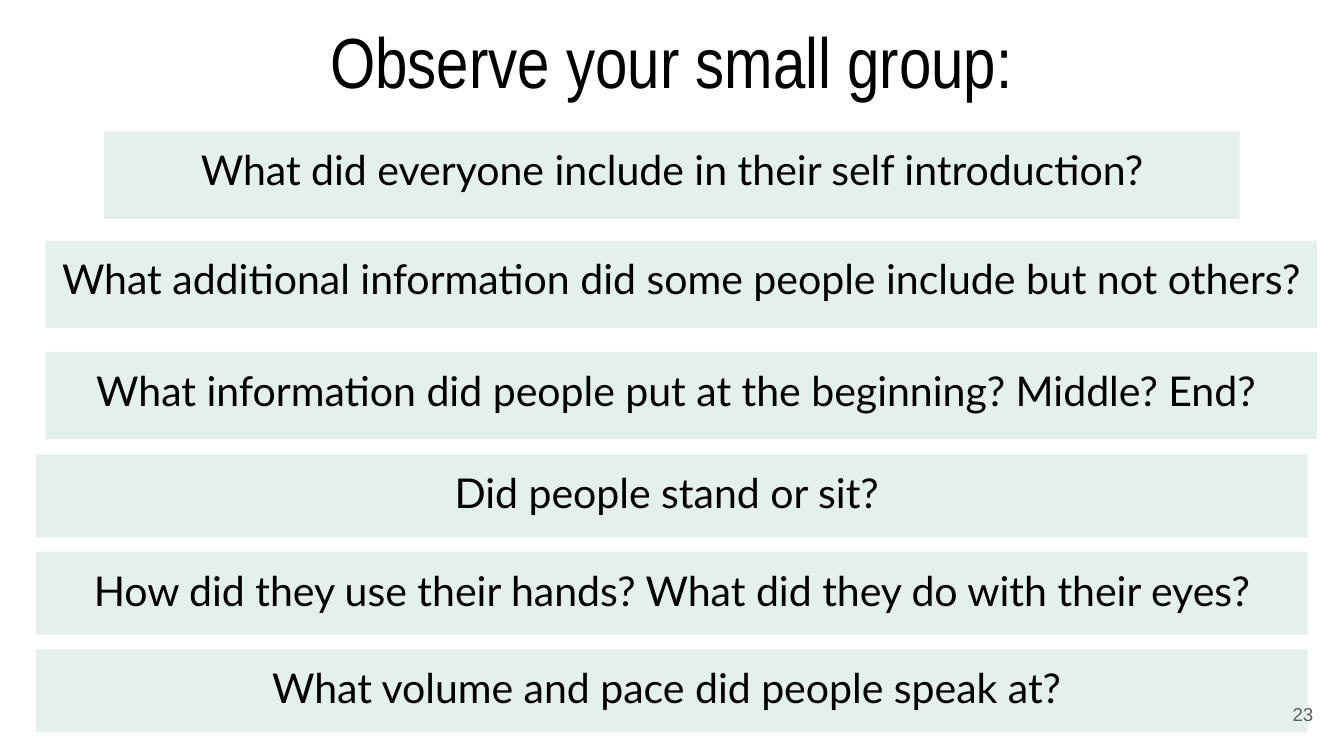
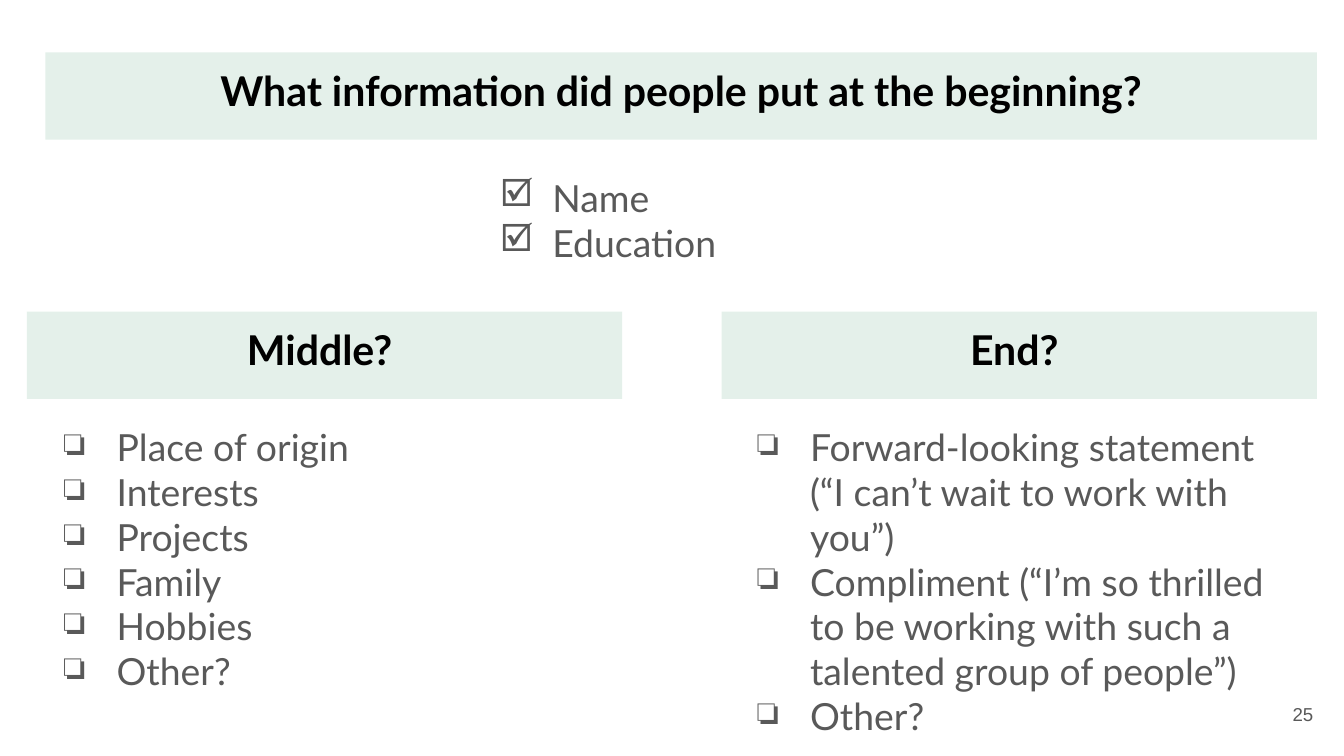
from lxml.etree import SubElement
from pptx import Presentation
from pptx.dml.color import RGBColor
from pptx.enum.shapes import MSO_SHAPE as Shape
from pptx.enum.text import MSO_ANCHOR as Anchor, PP_ALIGN as Align
from pptx.oxml.ns import qn
from pptx.util import Cm, Pt

WIDTH, HEIGHT = 25.4, 14.29
GREEN, BLACK, GREY, WHITE = "4CA173", "000000", "595959", "FFFFFF"
BAR_OPACITY = 15
INSET = 0.25
BULLET_INDENT, BULLET_HANGING = 1.27, 0.99

TITLE_FONT = {"name": "Arial Narrow", "size": Pt(38), "color": BLACK}
BAR_FONT = {"name": "Lato", "size": Pt(22), "color": BLACK}
HEADING_FONT = {**BAR_FONT, "bold": True}
LIST_FONT = {"name": "Lato", "size": Pt(20), "color": GREY}
NUMBER_FONT = {"name": "Arial", "size": Pt(10), "color": GREY}

WIDE, NARROW, HALF = 24.03, 21.46, 11.25
TALL, SHORT = 1.65, 1.57
OFFSET = 0.86
CENTRED = (WIDTH - WIDE) / 2
RIGHT_HALF = OFFSET + WIDE - HALF
LIST_WIDTH, LIST_TOP, LIST_HEIGHT = 10.95, 7.77, 5.64
LAST_TOP, LAST_STEP = 8.59, 1.84

OBSERVE_TITLE = "Observe your small group:"
FIRST_QUESTIONS = [
    ("What did everyone include in their self introduction?",
     ((WIDTH - NARROW) / 2, 2.49, NARROW, TALL)),
    ("What additional information did some people include but not others?",
     (OFFSET, 4.55, WIDE, TALL)),
    ("What information did people put at the beginning? Middle? End? ",
     (OFFSET, 6.65, WIDE, TALL)),
]
LAST_QUESTIONS = [
    "Did people stand or sit? ",
    "How did they use their hands? What did they do with their eyes?",
    "What volume and pace did people speak at? ",
]

SECTIONS = [
    {"heading": "What information did people put at the beginning?",
     "bar": (OFFSET, 0.99, WIDE, TALL),
     "bullet": "☑",
     "items": ["Name", "Education"],
     "list": (8.92, 3.07, 8.1, 2.16)},
    {"heading": "Middle? ",
     "bar": (0.51, 5.89, HALF, TALL),
     "bullet": "❏",
     "items": ["Place of origin", "Interests", "Projects", "Family",
               "Hobbies", "Other?"],
     "list": (CENTRED, LIST_TOP, LIST_WIDTH, LIST_HEIGHT)},
    {"heading": "End? ",
     "bar": (RIGHT_HALF, 5.89, HALF, TALL),
     "bullet": "❏",
     "items": [
         "Forward-looking statement (“I can’t wait to work with you”)",
         "Compliment (“I’m so thrilled to be working with such a talented "
         "group of people”)",
         "Other?"],
     "list": (13.79, LIST_TOP, LIST_WIDTH, LIST_HEIGHT)},
]


def rgb(value):
    return RGBColor.from_string(value)


def add_bullet(paragraph, character):
    properties = paragraph._p.get_or_add_pPr()
    properties.set("marL", str(Cm(BULLET_INDENT)))
    properties.set("indent", str(-Cm(BULLET_HANGING)))
    color = SubElement(properties, qn("a:buClr"))
    SubElement(color, qn("a:srgbClr"), val=GREY)
    SubElement(properties, qn("a:buChar"), char=character)


def write(shape, lines, font, align=Align.LEFT, anchor=Anchor.TOP, bullet=None):
    frame = shape.text_frame
    margins = {f"margin_{side}": Cm(INSET)
               for side in ("left", "top", "right", "bottom")}
    settings = {"word_wrap": True, "vertical_anchor": anchor, **margins}
    for name, value in settings.items():
        setattr(frame, name, value)
    for index, line in enumerate(lines):
        paragraph = frame.add_paragraph() if index else frame.paragraphs[0]
        paragraph.alignment = align
        if bullet:
            add_bullet(paragraph, bullet)
        run = paragraph.add_run()
        run.text = line
        for name, value in font.items():
            if name == "color":
                run.font.color.rgb = rgb(value)
            else:
                setattr(run.font, name, value)


def add_text(slide, box, lines, font, **layout):
    write(slide.shapes.add_textbox(*map(Cm, box)), lines, font, **layout)


def add_bar(slide, box, text, font):
    """Add a pale green band with centred text."""
    bar = slide.shapes.add_shape(Shape.RECTANGLE, *map(Cm, box))
    bar.shadow.inherit = False
    bar.line.fill.background()
    bar.fill.solid()
    bar.fill.fore_color.rgb = rgb(GREEN)
    color = bar._element.spPr.find(f"{qn('a:solidFill')}/{qn('a:srgbClr')}")
    SubElement(color, qn("a:alpha"), val=str(BAR_OPACITY * 1000))
    write(bar, [text], font, align=Align.CENTER)


def add_slide(presentation, number):
    slide = presentation.slides.add_slide(presentation.slide_layouts[6])
    slide.background.fill.solid()
    slide.background.fill.fore_color.rgb = rgb(WHITE)
    add_text(slide, (23.55, 12.95, 1.52, 1.09), [number], NUMBER_FONT,
             align=Align.RIGHT, anchor=Anchor.MIDDLE)
    return slide


def build_questions(presentation):
    slide = add_slide(presentation, "23")
    add_text(slide, (OFFSET, -0.03, 23.67, 2.34), [OBSERVE_TITLE], TITLE_FONT,
             align=Align.CENTER, anchor=Anchor.MIDDLE)
    for question, box in FIRST_QUESTIONS:
        add_bar(slide, box, question, BAR_FONT)
    for index, question in enumerate(LAST_QUESTIONS):
        box = (CENTRED, LAST_TOP + index * LAST_STEP, WIDE, SHORT)
        add_bar(slide, box, question, BAR_FONT)


def build_answers(presentation):
    slide = add_slide(presentation, "25")
    for section in SECTIONS:
        add_bar(slide, section["bar"], section["heading"], HEADING_FONT)
        add_text(slide, section["list"], section["items"], LIST_FONT,
                 bullet=section["bullet"])


def main():
    presentation = Presentation()
    presentation.slide_width = Cm(WIDTH)
    presentation.slide_height = Cm(HEIGHT)
    build_questions(presentation)
    build_answers(presentation)
    presentation.save("out.pptx")


if __name__ == "__main__":
    main()
